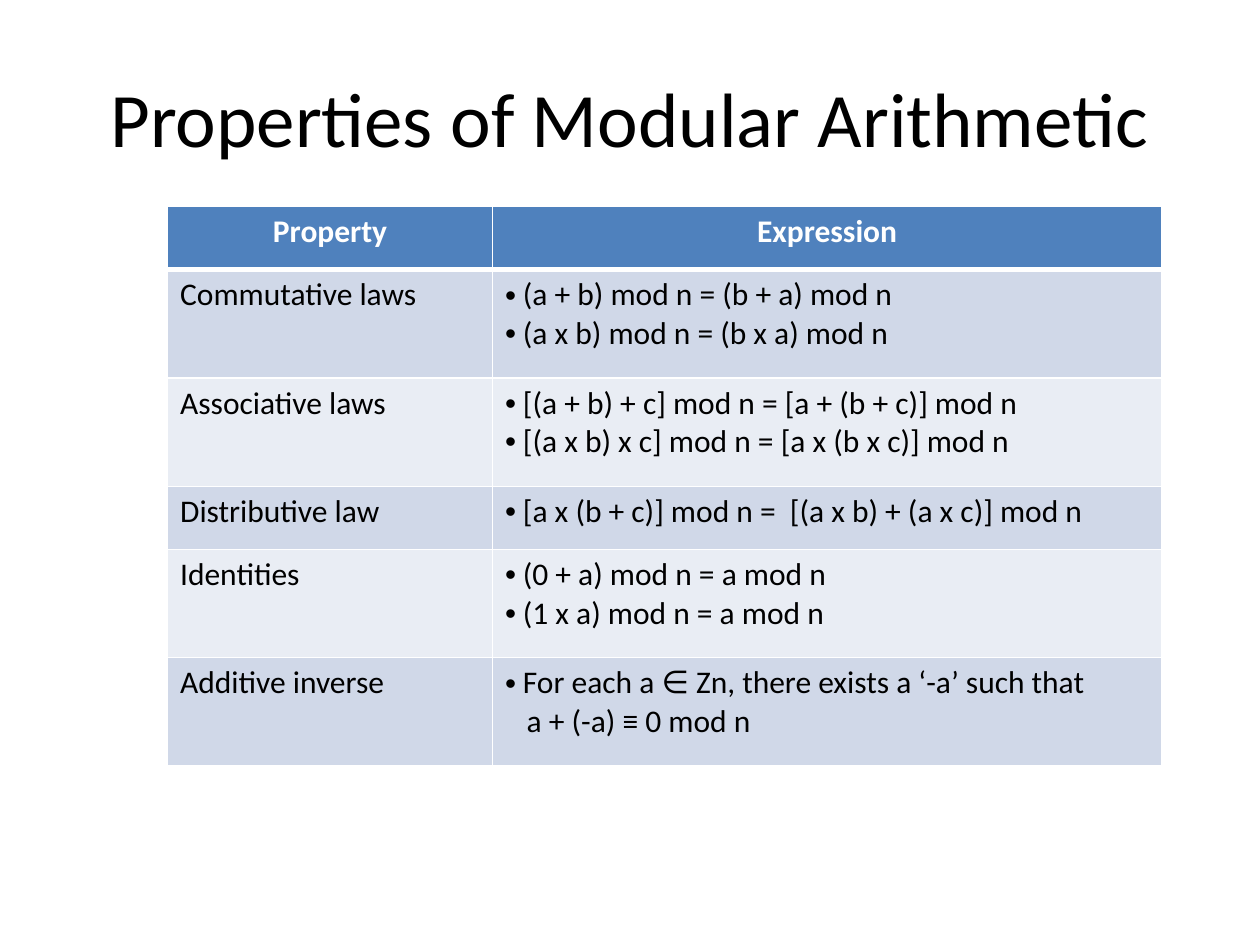
from lxml import etree
from pptx import Presentation
from pptx.dml.color import RGBColor
from pptx.enum.text import MSO_ANCHOR, PP_ALIGN
from pptx.oxml.ns import qn
from pptx.util import Inches, Pt

CENTER, LEFT = PP_ALIGN.CENTER, PP_ALIGN.LEFT
MIDDLE = MSO_ANCHOR.MIDDLE
FONT = "Calibri"
BLACK, WHITE = "000000", "FFFFFF"
HEADER_FILL = "4F81BD"
BAND_FILLS = ["D0D8E8", "E9EDF4"]
BULLET_INDENT, CONTINUATION_INDENT = 0.14, 0.17
COLUMN_WIDTHS = [2.58, 5.31]
ROW_HEIGHTS = {1: 0.5, 2: 0.86}
HEADINGS = ["Property", "Expression"]
PROPERTIES = [
    ("Commutative laws", ["(a + b) mod n = (b + a) mod n", "(a x b) mod n = (b x a) mod n"]),
    ("Associative laws", ["[(a + b) + c] mod n = [a + (b + c)] mod n",
                          "[(a x b) x c] mod n = [a x (b x c)] mod n"]),
    ("Distributive law", ["[a x (b + c)] mod n =  [(a x b) + (a x c)] mod n"]),
    ("Identities", ["(0 + a) mod n = a mod n", "(1 x a) mod n = a mod n"]),
    ("Additive inverse", ["For each a ∈ Zn, there exists a ‘-a’ such that", "a + (-a) ≡ 0 mod n"]),
]
CONTINUATIONS = {"a + (-a) ≡ 0 mod n"}


def rgb(value):
    """Return the colour for a hex string."""
    return RGBColor.from_string(value)


def format_paragraph(paragraph, size, color, align, bold=False):
    """Align a paragraph and set the font of its runs."""
    paragraph.alignment = align
    for run in paragraph.runs:
        run.font.name = FONT
        run.font.size = Pt(size)
        run.font.bold = bold
        run.font.color.rgb = rgb(color)


def indent_expression(paragraph, continued):
    """Give a paragraph a hanging bullet, or only an indent when it continues a line."""
    properties = paragraph._p.get_or_add_pPr()
    margin = CONTINUATION_INDENT if continued else BULLET_INDENT
    properties.set("marL", str(Inches(margin)))
    properties.set("indent", str(0 if continued else -Inches(margin)))
    if continued:
        etree.SubElement(properties, qn("a:buNone"))
    else:
        etree.SubElement(properties, qn("a:buFont"), typeface="Arial")
        etree.SubElement(properties, qn("a:buChar"), char="•")


def style_cell(cell, fill, top=1, bottom=1):
    """Draw white borders of the given point widths and fill the cell."""
    properties = cell._tc.get_or_add_tcPr()
    for side, width in (("L", 1), ("R", 1), ("T", top), ("B", bottom)):
        line = etree.SubElement(properties, qn(f"a:ln{side}"), w=str(Pt(width)))
        solid = etree.SubElement(line, qn("a:solidFill"))
        etree.SubElement(solid, qn("a:srgbClr"), val=WHITE)
    cell.fill.solid()
    cell.fill.fore_color.rgb = rgb(fill)


def add_title(slide, text, left, top, width, height):
    """Place the centred slide title in its box."""
    frame = slide.shapes.add_textbox(Inches(left), Inches(top), Inches(width), Inches(height)).text_frame
    frame.word_wrap = True
    frame.vertical_anchor = MIDDLE
    frame.text = text
    format_paragraph(frame.paragraphs[0], 44, BLACK, CENTER)


def add_property_table(slide, left, top):
    """Place the table of properties and their expressions."""
    heights = [ROW_HEIGHTS[1]] + [ROW_HEIGHTS[len(lines)] for _, lines in PROPERTIES]
    table = slide.shapes.add_table(
        len(heights), len(COLUMN_WIDTHS), Inches(left), Inches(top),
        Inches(sum(COLUMN_WIDTHS)), Inches(sum(heights))).table
    for column, width in zip(table.columns, COLUMN_WIDTHS):
        column.width = Inches(width)
    for row, height in zip(table.rows, heights):
        row.height = Inches(height)
    for index, heading in enumerate(HEADINGS):
        cell = table.cell(0, index)
        cell.text = heading
        style_cell(cell, HEADER_FILL, bottom=3)
        format_paragraph(cell.text_frame.paragraphs[0], 18, WHITE, CENTER, bold=True)
    for number, (name, expressions) in enumerate(PROPERTIES, start=1):
        name_cell, expression_cell = table.cell(number, 0), table.cell(number, 1)
        name_cell.text = name
        expression_cell.text = "\n".join(expressions)
        for paragraph in expression_cell.text_frame.paragraphs:
            indent_expression(paragraph, paragraph.text in CONTINUATIONS)
        for cell in (name_cell, expression_cell):
            style_cell(cell, BAND_FILLS[(number - 1) % 2], top=3 if number == 1 else 1)
            for paragraph in cell.text_frame.paragraphs:
                format_paragraph(paragraph, 18, BLACK, LEFT)


def main():
    """Build and save the slide."""
    presentation = Presentation()
    presentation.slide_width, presentation.slide_height = Inches(10), Inches(7.5)
    slide = presentation.slides.add_slide(presentation.slide_layouts[6])
    add_title(slide, "Properties of Modular Arithmetic", 0.5, 0.3, 9, 1.25)
    add_property_table(slide, 1.33, 1.64)
    presentation.save("out.pptx")


if __name__ == "__main__":
    main()
